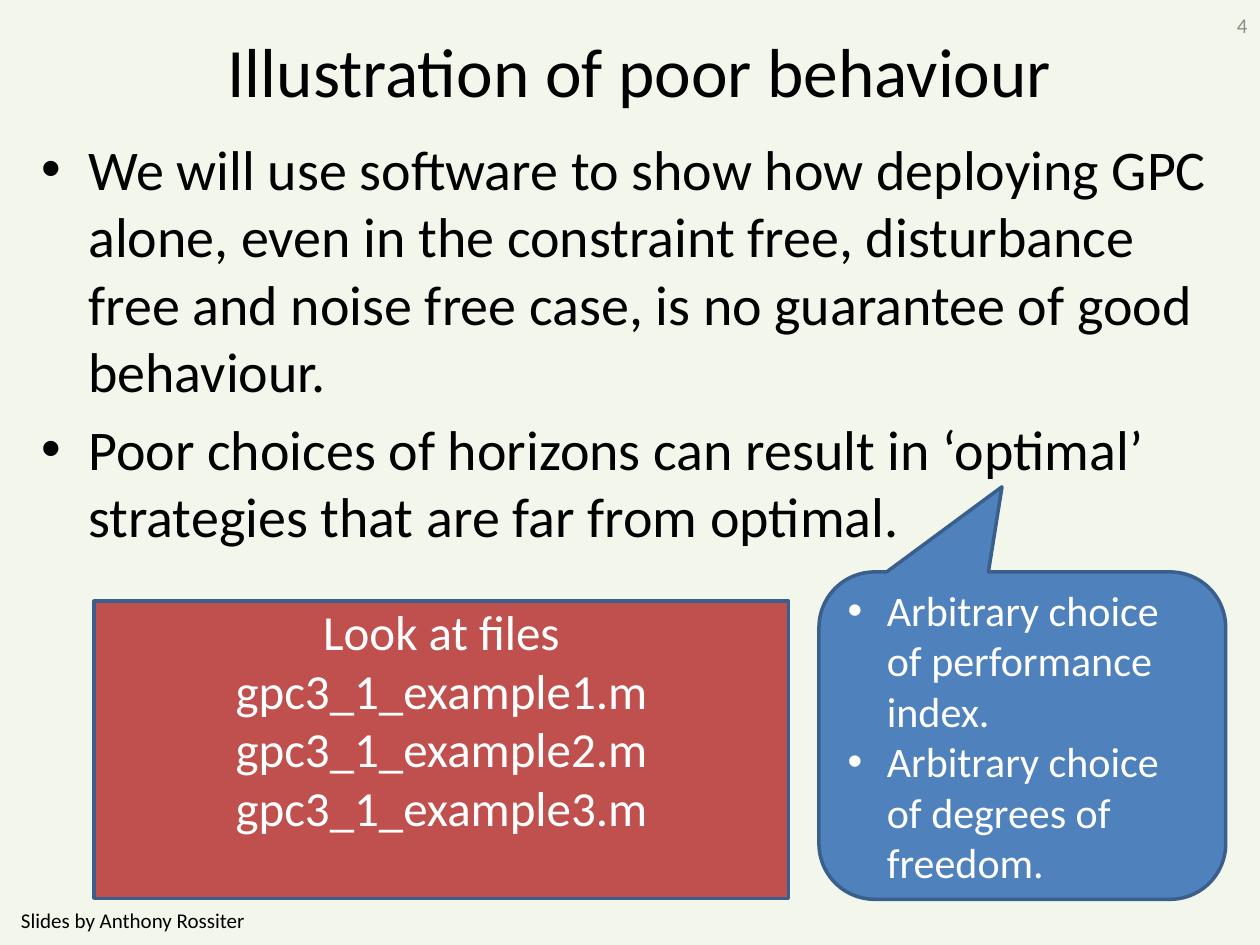
"""Build the slide that illustrates poor behaviour of GPC."""
from dataclasses import dataclass

import lxml.etree
import pptx
import pptx.dml.color
import pptx.enum.shapes
import pptx.enum.text
import pptx.oxml.ns
import pptx.util

Cm = pptx.util.Cm
Pt = pptx.util.Pt
Align = pptx.enum.text.PP_ALIGN
Anchor = pptx.enum.text.MSO_ANCHOR
Shape = pptx.enum.shapes.MSO_SHAPE


@dataclass(frozen=True)
class Theme:
    """Colours, font and type sizes of the slide."""

    font: str = "Calibri"
    background: str = "F3F6EB"
    text: str = "000000"
    muted: str = "8C8C8C"
    light: str = "FFFFFF"
    files: str = "C0504D"
    callout: str = "4F81BD"
    outline: str = "3A5F8C"
    title_size: float = 39.6
    body_size: float = 32
    files_size: float = 28
    callout_size: float = 24
    small_size: float = 12


THEME = Theme()


def colour(value):
    """Turn a hexadecimal string into a colour."""
    return pptx.dml.color.RGBColor.from_string(value)


def add_bullet(paragraph, indent):
    """Give a paragraph a round bullet with a hanging indent."""
    properties = paragraph._p.get_or_add_pPr()
    properties.set("marL", str(indent))
    properties.set("indent", str(-indent))
    for tag, name, value in (("a:buFont", "typeface", "Arial"), ("a:buChar", "char", "•")):
        element = lxml.etree.SubElement(properties, pptx.oxml.ns.qn(tag))
        element.set(name, value)


def write(box, lines, size, ink, align=Align.LEFT, anchor=Anchor.MIDDLE, bullet=None, gap=0):
    """Fill a box with evenly formatted paragraphs."""
    frame = box.text_frame
    frame.word_wrap = True
    frame.auto_size = pptx.enum.text.MSO_AUTO_SIZE.NONE
    frame.vertical_anchor = anchor
    frame.text = "\n".join(lines)
    for number, paragraph in enumerate(frame.paragraphs):
        if bullet:
            add_bullet(paragraph, bullet)
        paragraph.alignment = align
        paragraph.space_before = Pt(gap if number else 0)
        paragraph.font.name = THEME.font
        paragraph.font.size = Pt(size)
        paragraph.font.color.rgb = colour(ink)


def add_title(page, text):
    """Place and format the title placeholder."""
    title = page.shapes.title
    title.left, title.top, title.width, title.height = Cm(1.78), Cm(0.41), Cm(22.23), Cm(1.98)
    write(title, [text], THEME.title_size, THEME.text, Align.CENTER)


def add_text(page, place, lines, size, ink, **layout):
    """Add a text box."""
    box = page.shapes.add_textbox(*map(Cm, place))
    write(box, lines, size, ink, **layout)


def add_panel(page, kind, place, fill, lines, size, **layout):
    """Add a filled, outlined shape with light text and return it."""
    panel = page.shapes.add_shape(kind, *map(Cm, place))
    panel.shadow.inherit = False
    panel.fill.solid()
    panel.fill.fore_color.rgb = colour(fill)
    panel.line.color.rgb = colour(THEME.outline)
    panel.line.width = Pt(2)
    write(panel, lines, size, THEME.light, **layout)
    return panel


def main():
    """Build and save the deck."""
    deck = pptx.Presentation()
    deck.slide_width, deck.slide_height = Cm(25.4), Cm(19.05)
    page = deck.slides.add_slide(deck.slide_layouts.get_by_name("Title Only"))
    page.background.fill.solid()
    page.background.fill.fore_color.rgb = colour(THEME.background)

    add_title(page, "Illustration of poor behaviour")
    add_text(page, (0.58, 2.59, 24.21, 9.14), [
        "We will use software to show how deploying GPC alone, even in the constraint free, "
        "disturbance free and noise free case, is no guarantee of good behaviour.",
        "Poor choices of horizons can result in ‘optimal’ strategies that are far from optimal.",
    ], THEME.body_size, THEME.text, anchor=Anchor.TOP, bullet=Cm(0.95), gap=6.4)
    add_text(page, (0, 18.03, 5.36, 1.02), ["Slides by Anthony Rossiter"],
             THEME.small_size, THEME.text, align=Align.CENTER)
    add_text(page, (22.63, 0, 2.77, 1.02), ["4"],
             THEME.small_size, THEME.muted, align=Align.RIGHT)

    files = ["Look at files"] + [f"gpc3_1_example{number}.m" for number in range(1, 4)]
    panel = add_panel(page, Shape.RECTANGLE, (1.9, 12.12, 14, 5.99), THEME.files, files,
                      THEME.files_size, align=Align.CENTER, anchor=Anchor.TOP)
    panel.text_frame.margin_top = 0

    callout = add_panel(page, Shape.ROUNDED_RECTANGULAR_CALLOUT, (16.51, 11.53, 8.2, 6.6),
                        THEME.callout, ["Arbitrary choice of performance index.",
                                        "Arbitrary choice of degrees of freedom."],
                        THEME.callout_size, bullet=Cm(0.79))
    for number, value in enumerate((-0.05, -0.76, 0.17)):
        callout.adjustments[number] = value

    deck.save("out.pptx")


if __name__ == "__main__":
    main()
